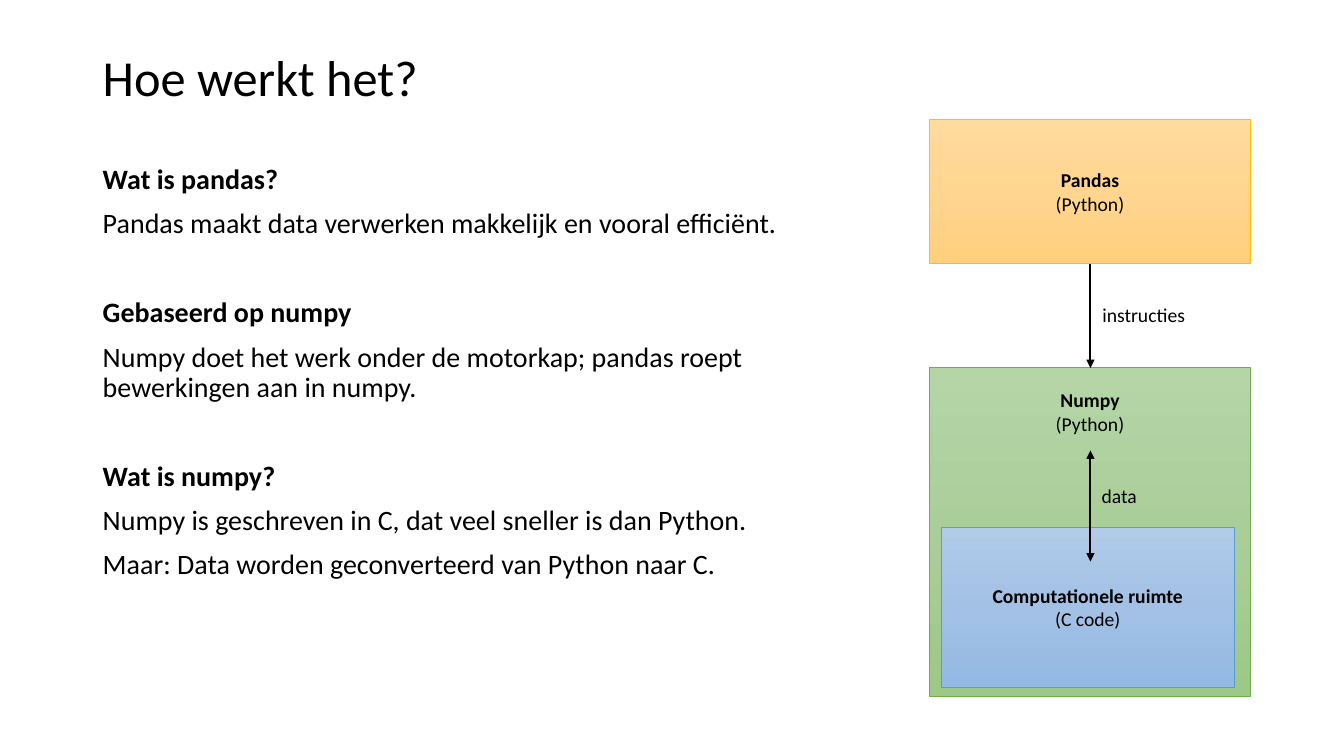
"""Builds the slide that explains how pandas and numpy work together."""
from copy import deepcopy
from typing import NamedTuple

from lxml.etree import SubElement
from pptx import Presentation
from pptx.dml.color import RGBColor
from pptx.enum.shapes import MSO_CONNECTOR as Connector, MSO_SHAPE as Preset
from pptx.enum.text import MSO_ANCHOR as Anchor, MSO_AUTO_SIZE as AutoSize, PP_ALIGN as Align
from pptx.oxml.ns import qn
from pptx.util import Cm, Pt

FONT = "Calibri"
COLOURS = {
    "ink": "000000",
    "pandas_top": "FFDB9E", "pandas_mid": "FFD590", "pandas_end": "FFD07C", "pandas_edge": "FFC000",
    "numpy_top": "B5D5A7", "numpy_mid": "AACE9A", "numpy_end": "9CC987", "numpy_edge": "70AD47",
    "c_top": "B1CBE9", "c_mid": "A3C1E5", "c_end": "93B9E4", "c_edge": "5B9BD5",
}
BODY_GAP = 10
SECTION_GAP = 42


class Area(NamedTuple):
    left: float
    top: float
    width: float
    height: float


class Layer(NamedTuple):
    name: str
    language: str
    palette: str
    area: Area
    anchor: Anchor


class Flow(NamedTuple):
    start: float
    end: float
    ends: tuple[str, ...]
    label: str
    label_area: Area


class Section(NamedTuple):
    heading: str
    sentences: tuple[str, ...]


LAYERS = (
    Layer("Pandas", "(Python)", "pandas", Area(23.42, 3.02, 8.1, 3.63), Anchor.MIDDLE),
    Layer("Numpy", "(Python)", "numpy", Area(23.42, 9.27, 8.1, 8.28), Anchor.TOP),
    Layer("Computationele ruimte", "(C code)", "c", Area(23.72, 13.28, 7.39, 4.04), Anchor.MIDDLE),
)
FLOW_X = 27.48
FLOWS = (
    Flow(6.65, 9.27, ("tailEnd",), "instructies", Area(27.53, 7.52, 2.62, 0.86)),
    Flow(11.35, 14.15, ("headEnd", "tailEnd"), "data", Area(27.51, 12.07, 1.42, 0.86)),
)
SECTIONS = (
    Section("Wat is pandas?", ("Pandas maakt data verwerken makkelijk en vooral efficiënt.",)),
    Section("Gebaseerd op numpy",
            ("Numpy doet het werk onder de motorkap; pandas roept bewerkingen aan in numpy.",)),
    Section("Wat is numpy?", ("Numpy is geschreven in C, dat veel sneller is dan Python.",
                              "Maar: Data worden geconverteerd van Python naar C.")),
)


def colour(name: str) -> RGBColor:
    """Look up a colour by its name."""
    return RGBColor.from_string(COLOURS[name])


def lengths(area: Area) -> list[Cm]:
    """Turn an area into slide lengths."""
    return [Cm(value) for value in area]


def write(frame, text: str, *, size: float, bold: bool = False, align=Align.LEFT,
          before: float = 0, spacing: float = 1.0) -> None:
    """Write one paragraph, using the empty first one when there is one."""
    first = frame.paragraphs[0]
    paragraph = frame.add_paragraph() if first.runs else first
    paragraph.alignment = align
    paragraph.line_spacing = spacing
    paragraph.space_before = Pt(before)
    run = paragraph.add_run()
    run.text = text
    run.font.name = FONT
    run.font.size = Pt(size)
    run.font.bold = bold
    run.font.color.rgb = colour("ink")


def add_frame(slide, area: Area, *, anchor=Anchor.TOP, wrap: bool = True):
    """Add a text box and return its text frame."""
    frame = slide.shapes.add_textbox(*lengths(area)).text_frame
    frame.word_wrap = wrap
    frame.vertical_anchor = anchor
    return frame


def draw_layer(slide, layer: Layer) -> None:
    """Draw one software layer with a downward gradient."""
    block = slide.shapes.add_shape(Preset.RECTANGLE, *lengths(layer.area))
    block.shadow.inherit = False
    block.fill.gradient()
    block.fill.gradient_angle = 270
    stop_list = block.fill.gradient_stops[0]._gs.getparent()
    stop_list.insert(1, deepcopy(stop_list[0]))
    for index, (stop, part) in enumerate(zip(block.fill.gradient_stops, ("top", "mid", "end"))):
        stop.position = index / 2
        stop.color.rgb = colour(f"{layer.palette}_{part}")
    block.line.color.rgb = colour(f"{layer.palette}_edge")
    block.line.width = Pt(0.5)
    frame = block.text_frame
    frame.word_wrap = True
    frame.vertical_anchor = layer.anchor
    frame.margin_left = frame.margin_right = frame.margin_top = frame.margin_bottom = Cm(0.51)
    write(frame, layer.name, size=14, bold=True, align=Align.CENTER)
    write(frame, layer.language, size=14, align=Align.CENTER)


def draw_flow(slide, flow: Flow) -> None:
    """Draw one vertical arrow and its label."""
    arrow = slide.shapes.add_connector(
        Connector.STRAIGHT, Cm(FLOW_X), Cm(flow.start), Cm(FLOW_X), Cm(flow.end))
    arrow.line.color.rgb = colour("ink")
    arrow.line.width = Pt(1.5)
    outline = arrow.line._get_or_add_ln()
    for end in flow.ends:
        SubElement(outline, qn(f"a:{end}"), type="triangle")
    SubElement(outline.getparent(), qn("a:effectLst"))
    frame = add_frame(slide, flow.label_area, wrap=False)
    frame.auto_size = AutoSize.SHAPE_TO_FIT_TEXT
    write(frame, flow.label, size=14)


def draw_sections(slide) -> None:
    """Write the explanation, section by section."""
    frame = add_frame(slide, Area(2.34, 4.04, 19.69, 13.11))
    for index, section in enumerate(SECTIONS):
        write(frame, section.heading, size=20, bold=True, spacing=0.9,
              before=SECTION_GAP if index else 0)
        for sentence in section.sentences:
            write(frame, sentence, size=20, spacing=0.9, before=BODY_GAP)


def main() -> None:
    """Build and save the presentation."""
    deck = Presentation()
    deck.slide_width, deck.slide_height = Cm(33.87), Cm(19.05)
    slide = deck.slides.add_slide(deck.slide_layouts[6])
    title = add_frame(slide, Area(2.34, 1.02, 29.21, 2.01), anchor=Anchor.MIDDLE)
    write(title, "Hoe werkt het?", size=36, spacing=0.9)
    for layer in LAYERS:
        draw_layer(slide, layer)
    draw_sections(slide)
    for flow in FLOWS:
        draw_flow(slide, flow)
    deck.save("out.pptx")


if __name__ == "__main__":
    main()
